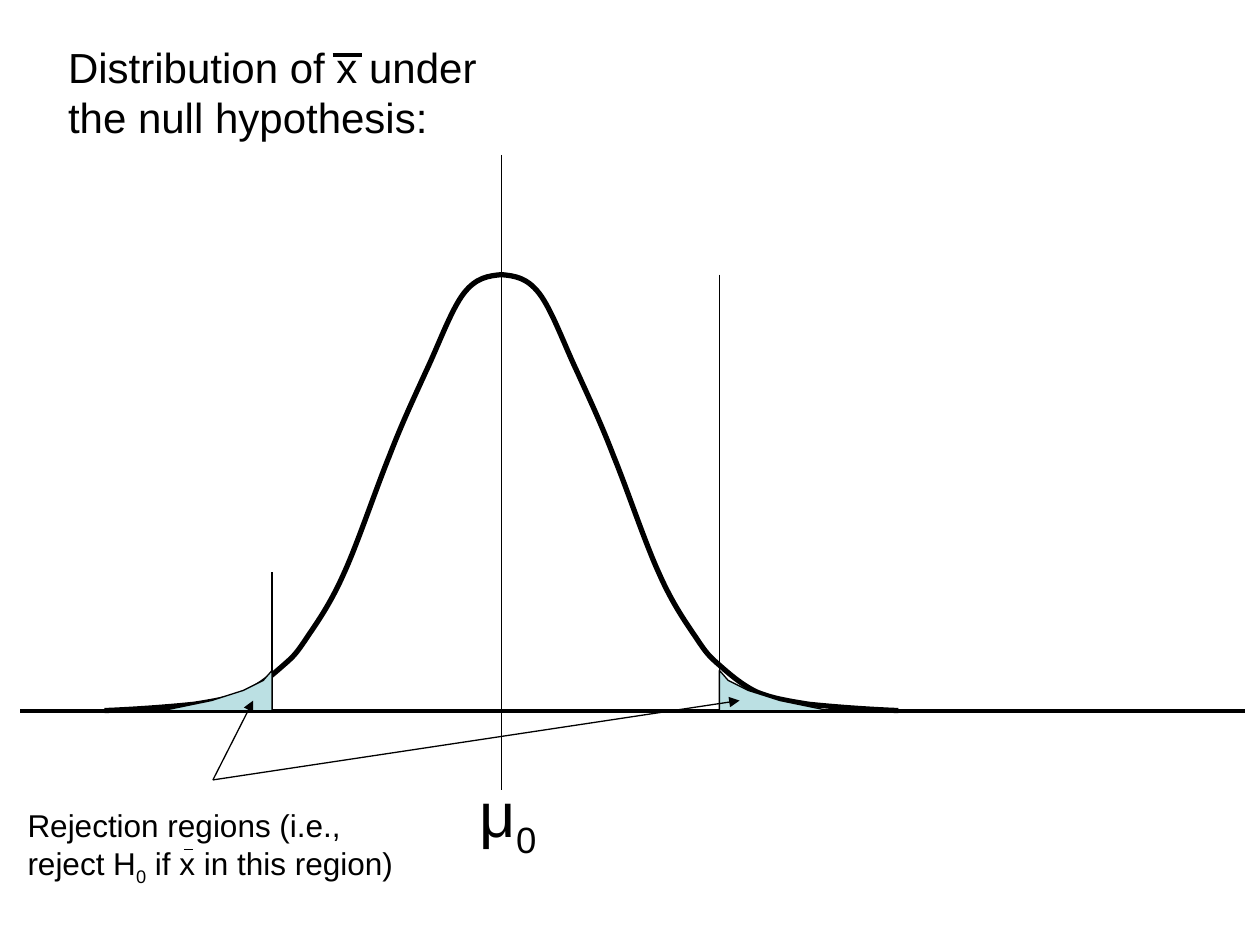
from lxml.etree import SubElement
from pptx import Presentation
from pptx.dml.color import RGBColor
from pptx.enum.shapes import MSO_CONNECTOR
from pptx.enum.text import MSO_ANCHOR, MSO_AUTO_SIZE, PP_ALIGN
from pptx.oxml.ns import qn
from pptx.util import Inches, Pt

BLACK, SHADE = "000000", "BBE0E3"
CENTRE, BASELINE = 3.98, 5.64
PEAK = 3.46
CRITICAL = (-1.82, 1.73)  # offsets from the centre

# Half bell as joined cubic curves: distance from centre, height above baseline
HALF_BELL = [
    (3.15, 0), (2.89, .01), (2.63, .03), (2.44, .05),
    (2.25, .08), (2.14, .10), (2.02, .15),
    (1.90, .21), (1.81, .29), (1.73, .36),
    (1.65, .43), (1.63, .45), (1.55, .57),
    (1.47, .69), (1.36, .84), (1.25, 1.09),
    (1.14, 1.33), (1.00, 1.75), (.89, 2.02),
    (.79, 2.28), (.70, 2.47), (.60, 2.69),
    (.50, 2.90), (.40, 3.18), (.30, 3.31),
    (.20, 3.44), (.10, 3.45), (0, PEAK),
]
# Rejection region: distance beyond the critical value, height above baseline
TAIL = [(.87, 0), (.48, .08), (.23, .16), (.07, .24), (0, .32), (0, 0), (.87, 0)]


def colour(hex_code):
    return RGBColor.from_string(hex_code)


def add_outline(page, points, weight, origin, side, fill=None):
    """Draw points measured from the origin, outwards to the given side."""
    left, bottom = origin
    vertices = [(Inches(left + side * x), Inches(bottom - y)) for x, y in points]
    builder = page.shapes.build_freeform(*vertices[0])
    builder.add_line_segments(vertices[1:], close=fill is not None)
    shape = builder.convert_to_shape()
    shape.shadow.inherit = False
    if fill:
        shape.fill.solid()
        shape.fill.fore_color.rgb = colour(fill)
    else:
        shape.fill.background()
    shape.line.color.rgb = colour(BLACK)
    shape.line.width = Pt(weight)
    return shape


def make_cubic(shape):
    """Turn every three line segments of an outline into one cubic curve."""
    outline = next(shape._element.iter(qn("a:path")))
    segments = outline.findall(qn("a:lnTo"))
    for first in range(0, len(segments), 3):
        curve = SubElement(outline, qn("a:cubicBezTo"))
        for segment in segments[first:first + 3]:
            curve.append(segment[0])
            outline.remove(segment)


def add_line(page, start, end, weight=0.75, arrow=False):
    line = page.shapes.add_connector(
        MSO_CONNECTOR.STRAIGHT, *(Inches(value) for value in start + end))
    line.line.color.rgb = colour(BLACK)
    line.line.width = Pt(weight)
    properties = line._element.spPr
    if arrow:
        SubElement(properties.find(qn("a:ln")), qn("a:tailEnd"), type="triangle")
    SubElement(properties, qn("a:effectLst"))


def write_text(shape, lines, size, wrap):
    """Fill a shape with lines; each alternate span of a line is a subscript."""
    frame = shape.text_frame
    frame.word_wrap = wrap
    frame.auto_size = MSO_AUTO_SIZE.SHAPE_TO_FIT_TEXT
    frame.vertical_anchor = MSO_ANCHOR.TOP
    for index, spans in enumerate(lines):
        para = frame.add_paragraph() if index else frame.paragraphs[0]
        para.alignment = PP_ALIGN.LEFT
        para.font.name, para.font.size = "Arial", Pt(size)
        para.font.color.rgb = colour(BLACK)
        for position, text in enumerate(spans):
            span = para.add_run()
            span.text = text
            if position % 2:
                span.font._element.set("baseline", "-25000")


def add_text(page, box, lines, size, wrap=False):
    shape = page.shapes.add_textbox(*(Inches(value) for value in box))
    write_text(shape, lines, size, wrap)


def add_heading(page, left, top):
    title = page.shapes.title
    title.left, title.top = Inches(left), Inches(top)
    title.width, title.height = Inches(3.53), Inches(0.9)
    write_text(title, [["Distribution of x under"], ["the null hypothesis:"]], 24, False)
    # Bar over x
    add_line(page, (left + 2.2, top + .16), (left + 2.43, top + .16), 2.25)


def add_distribution(page, centre, baseline):
    # Bell curve, axis and mean
    for side in (-1, 1):
        make_cubic(add_outline(page, HALF_BELL, 3, (centre, baseline), side))
    add_line(page, (.16, baseline), (9.88, baseline), 2.25)
    add_line(page, (centre, 1.23), (centre, 6.27))
    add_text(page, (centre - .27, 6.1, .65, .79), [["μ", "0"]], 36)
    # Critical values with shaded tails
    for offset, side in zip(CRITICAL, (-1, 1)):
        limit = centre + offset
        add_line(page, (limit, baseline - 1.1), (limit, baseline))
        add_outline(page, TAIL, 0.75, (limit, baseline), side, SHADE)
    # Upper critical value, raised to the height of the peak
    add_line(page, (limit, baseline - PEAK), (limit, baseline))


def add_rejection_note(page, left, top):
    add_text(page, (left, top, 3.11, .74),
             [["Rejection regions (i.e.,"],
              ["reject H", "0", " if x in this region)"]], 18, wrap=True)
    # Bar over x
    add_line(page, (left + 1.34, top + .39), (left + 1.41, top + .39))
    # Arrows to both tails
    for target in (2.01, 5.87):
        add_line(page, (left + 1.57, top - .16), (target, BASELINE - .08), arrow=True)


def main():
    deck = Presentation()
    deck.slide_width, deck.slide_height = Inches(10), Inches(7.5)
    page = deck.slides.add_slide(deck.slide_layouts[5])
    add_heading(page, .44, .28)
    add_distribution(page, CENTRE, BASELINE)
    add_rejection_note(page, .12, 6.35)
    deck.save("out.pptx")


if __name__ == "__main__":
    main()
